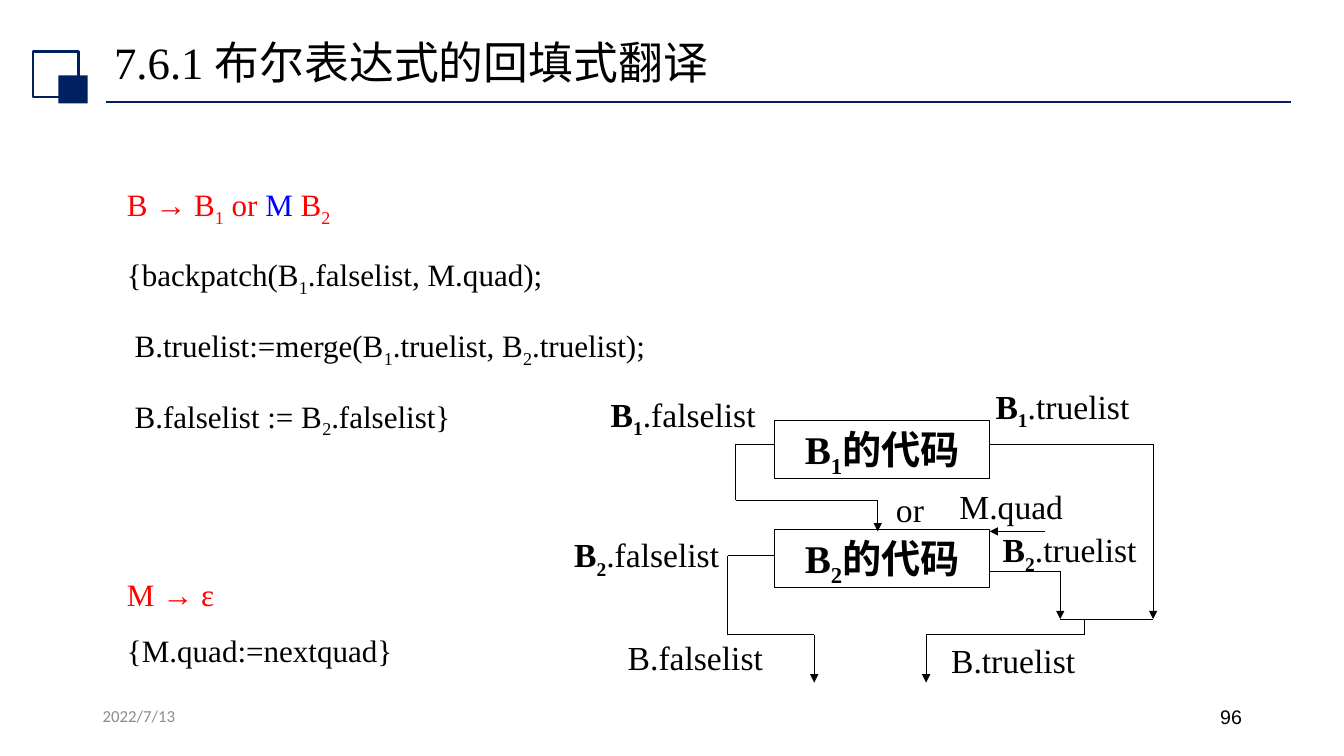
from itertools import pairwise

from lxml import etree
from pptx import Presentation
from pptx.dml.color import RGBColor
from pptx.enum.shapes import MSO_CONNECTOR, MSO_SHAPE
from pptx.enum.text import MSO_ANCHOR, MSO_AUTO_SIZE, PP_ALIGN
from pptx.oxml.ns import qn
from pptx.util import Cm, Pt

STRAIGHT = MSO_CONNECTOR.STRAIGHT
RECTANGLE = MSO_SHAPE.RECTANGLE
LEFT, CENTER, RIGHT, JUSTIFY = (
    PP_ALIGN.LEFT, PP_ALIGN.CENTER, PP_ALIGN.RIGHT, PP_ALIGN.JUSTIFY)
NAVY = RGBColor(0x00, 0x20, 0x60)
BLACK = RGBColor(0x00, 0x00, 0x00)
WHITE = RGBColor(0xFF, 0xFF, 0xFF)
RED = RGBColor(0xFF, 0x00, 0x00)
BLUE = RGBColor(0x00, 0x00, 0xFF)
GRAY = RGBColor(0x8C, 0x8C, 0x8C)
SERIF = "Times New Roman"


def write_pieces(paragraph, pieces, size):
    """Write (text, colour, bold) pieces; the digit after "_" is a subscript."""
    paragraph.font.size = Pt(size)
    paragraph.font.name = SERIF
    for text, color, bold in pieces:
        head, *tails = text.split("_")
        parts = [(head, 0)]
        for tail in tails:
            parts += [(tail[0], -25000), (tail[1:], 0)]
        for part, baseline in parts:
            if part:
                run = paragraph.add_run()
                run.text = part
                run.font.color.rgb = color
                run.font.bold = bold
                if baseline:
                    run.font._element.set("baseline", str(baseline))


def draw_line(start, end, color, width, arrow=False):
    line = slide.shapes.add_connector(STRAIGHT, *map(Cm, start + end))
    line.line.color.rgb = color
    line.line.width = Pt(width)
    if arrow:
        etree.SubElement(line.line._get_or_add_ln(), qn("a:tailEnd"), type="triangle")
    etree.SubElement(line._element.spPr, qn("a:effectLst"))


prs = Presentation()
prs.slide_width, prs.slide_height = Cm(33.87), Cm(19.05)
slide = prs.slides.add_slide(prs.slide_layouts[5])

# Heading
draw_line((2.67, 2.57), (32.54, 2.57), NAVY, 1.25)
for left, top, width, height, fill in [
    (0.84, 1.3, 1.14, 1.14, WHITE),
    (1.47, 1.9, 0.74, 0.71, NAVY),
]:
    square = slide.shapes.add_shape(RECTANGLE, Cm(left), Cm(top), Cm(width), Cm(height))
    square.shadow.inherit = False
    square.fill.solid()
    square.fill.fore_color.rgb = fill
    square.line.color.rgb = NAVY
    square.line.width = Pt(1.5)
    if fill == NAVY:
        square.line.fill.background()

title = slide.shapes.title
title.left, title.top, title.width, title.height = Cm(2.62), Cm(0.86), Cm(29.21), Cm(1.55)
title.text_frame.auto_size = MSO_AUTO_SIZE.NONE
title.text_frame.vertical_anchor = MSO_ANCHOR.MIDDLE
heading = title.text_frame.paragraphs[0]
heading.alignment = LEFT
heading.line_spacing = 0.9
write_pieces(heading, [("7.6.1 布尔表达式的回填式翻译", BLACK, False)], 32)

# Footer
for text, left, alignment, size, font, color in [
    ("2022/7/13", 2.34, LEFT, 12, "Calibri", GRAY),
    ("96", 23.93, RIGHT, 14, "Arial", BLACK),
]:
    footer = slide.shapes.add_textbox(Cm(left), Cm(17.65), Cm(7.62), Cm(1.02))
    footer.text_frame.word_wrap = True
    note = footer.text_frame.paragraphs[0]
    note.text = text
    note.alignment = alignment
    note.font.size, note.font.name, note.font.color.rgb = Pt(size), font, color

# Translation rules
rules = [
    ([("B → B_1 or ", RED, False), ("M", BLUE, False), (" B_2", RED, False)], 0),
    ([("{backpatch(B_1.falselist, M.quad);", BLACK, False)], 5),
    ([(" B.truelist:=merge(B_1.truelist, B_2.truelist);", BLACK, False)], 5),
    ([(" B.falselist := B_2.falselist}", BLACK, False)], 5),
    ([("M → ε", RED, False)], 84),
    ([("{M.quad:=nextquad}", BLACK, False)], 0),
]
rules_frame = slide.shapes.add_textbox(Cm(2.95), Cm(4.01), Cm(27.18), Cm(11.46)).text_frame
rules_frame.word_wrap = True
for index, (pieces, gap) in enumerate(rules):
    rule = rules_frame.add_paragraph() if index else rules_frame.paragraphs[0]
    rule.alignment = JUSTIFY
    rule.line_spacing = 1.5
    rule.space_before = Pt(gap)
    write_pieces(rule, pieces, 22.2)

# Code blocks
for name, top in [("B_1", 10.59), ("B_2", 13.34)]:
    block = slide.shapes.add_shape(RECTANGLE, Cm(19.53), Cm(top), Cm(5.41), Cm(1.47))
    block.shadow.inherit = False
    block.fill.background()
    block.line.color.rgb = BLACK
    block.line.width = Pt(0.75)
    block.text_frame.vertical_anchor = MSO_ANCHOR.TOP
    code = block.text_frame.paragraphs[0]
    code.alignment = CENTER
    write_pieces(code, [(name + "的代码", BLACK, True)], 28)

# Jumps: corner points of each route, and whether it ends in an arrow
routes = [
    ([(19.53, 11.2), (18.54, 11.2), (18.54, 12.6), (22.12, 12.6), (22.12, 13.39)], True),
    ([(19.53, 14), (18.34, 14), (18.34, 16), (20.52, 16), (20.52, 17.2)], True),
    ([(24.94, 11.2), (29.06, 11.2), (29.06, 15.6)], True),
    ([(24.94, 14.4), (26.72, 14.4), (26.72, 15.6)], True),
    ([(26.72, 15.6), (29.06, 15.6)], False),
    ([(27.33, 15.6), (27.33, 16), (23.34, 16), (23.34, 17.2)], True),
    ([(26.34, 13.39), (24.94, 13.39)], True),
]
for corners, has_arrow in routes:
    for start, end in pairwise(corners):
        draw_line(start, end, BLACK, 0.75, has_arrow and end == corners[-1])

# Jump labels
for bold_part, plain_part, left, top, width in [
    ("B_1", ".falselist", 15.14, 9.8, 5.13),
    ("B_2", ".falselist", 14.22, 13.34, 5.84),
    ("", "B.falselist", 15.57, 15.93, 5.36),
    ("B_1", ".truelist", 24.84, 9.6, 6.12),
    ("B_2", ".truelist", 25.02, 13.21, 5.49),
    ("", "B.truelist", 23.72, 16, 5.03),
    ("", "M.quad", 23.93, 12.12, 4.45),
    ("", "or", 22.33, 12.19, 1.4),
]:
    label = slide.shapes.add_textbox(Cm(left), Cm(top), Cm(width), Cm(1.27))
    label.text_frame.word_wrap = True
    write_pieces(label.text_frame.paragraphs[0],
                 [(bold_part, BLACK, True), (plain_part, BLACK, False)], 24)

prs.save("out.pptx")
